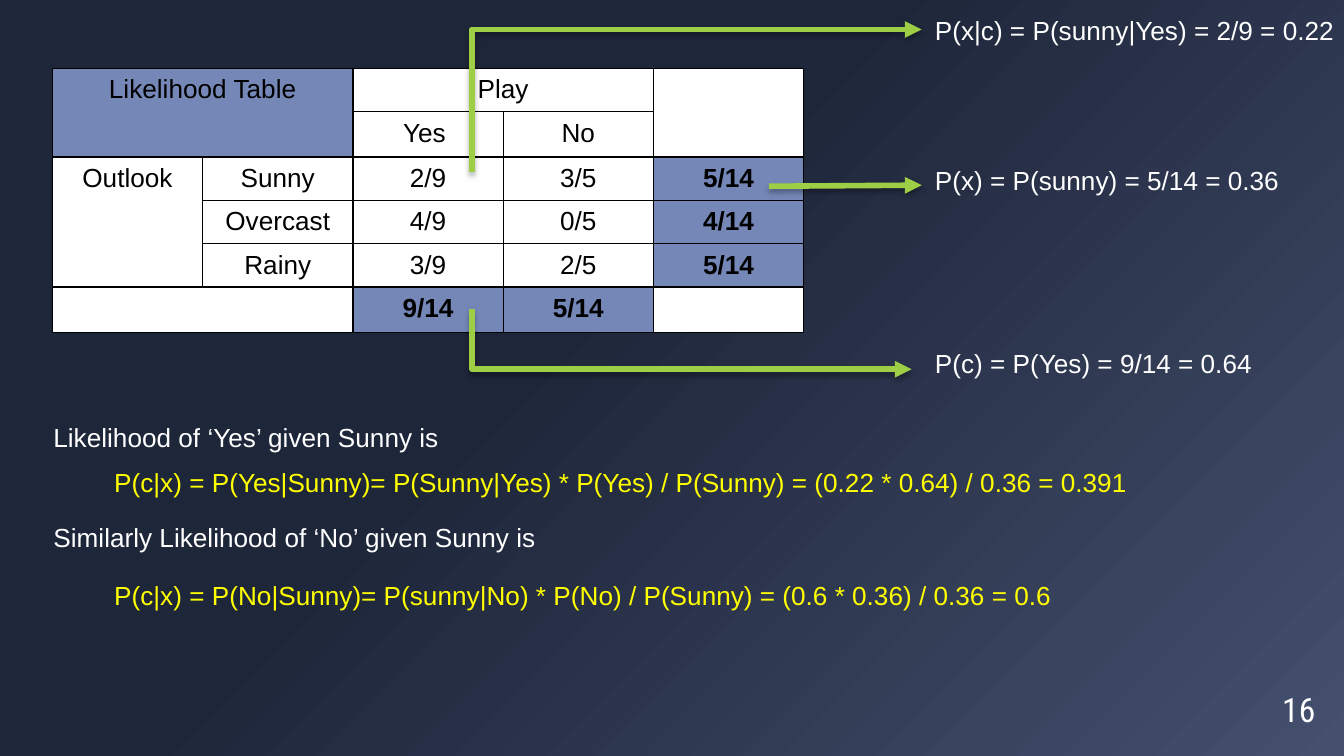
from pptx import Presentation
from pptx.dml.color import RGBColor
from pptx.enum.shapes import MSO_CONNECTOR
from pptx.enum.text import MSO_ANCHOR, MSO_AUTO_SIZE, PP_ALIGN
from pptx.oxml import parse_xml
from pptx.oxml.ns import nsdecls, qn
from pptx.util import Cm, Pt
from lxml import etree

STRAIGHT, ELBOW = MSO_CONNECTOR.STRAIGHT, MSO_CONNECTOR.ELBOW
LEFT, CENTER, RIGHT = PP_ALIGN.LEFT, PP_ALIGN.CENTER, PP_ALIGN.RIGHT
TOP, BOTTOM = MSO_ANCHOR.TOP, MSO_ANCHOR.BOTTOM
GROW, FIXED = MSO_AUTO_SIZE.SHAPE_TO_FIT_TEXT, MSO_AUTO_SIZE.NONE
WHITE, BLACK, YELLOW, GREEN, BLUE = "FFFFFF", "000000", "FFFF00", "9ECE46", "7487B7"


def rgb(value):
    return RGBColor.from_string(value)


def set_format(target, values):
    for name, value in values.items():
        setattr(target, name, value)


class SlideBuilder:
    body = {"name": "Arial", "size": Pt(14), "bold": False}
    number = {"name": "Roboto Condensed", "size": Pt(18)}

    def __init__(self, prs):
        self.s = prs.slides.add_slide(prs.slide_layouts[6])

    def background(self, stops):
        self.s.background.fill.solid()
        bg = self.s._element.find(".//" + qn("p:bgPr"))
        gs = "".join(f'<a:gs pos="{pos * 1000}"><a:srgbClr val="{color}"/></a:gs>'
                     for pos, color in stops)
        bg.replace(bg[0], parse_xml(
            f'<a:gradFill {nsdecls("a")} rotWithShape="1"><a:gsLst>{gs}</a:gsLst>'
            '<a:path path="circle"><a:fillToRect l="100000" t="100000"/></a:path>'
            '</a:gradFill>'))

    def run(self, p, text, font, color, align):
        p.alignment = align
        r = p.add_run()
        r.text = text
        set_format(r.font, font)
        r.font.color.rgb = rgb(color)

    def text(self, text, box, color=WHITE, wrap=False):
        sp = self.s.shapes.add_textbox(*map(Cm, box))
        tf = sp.text_frame
        set_format(tf, {"word_wrap": wrap, "auto_size": GROW, "vertical_anchor": TOP})
        self.run(tf.paragraphs[0], text, self.body, color, LEFT)

    def page_number(self, text, box):
        tf = self.s.shapes.add_textbox(*map(Cm, box)).text_frame
        set_format(tf, {"word_wrap": True, "auto_size": FIXED,
                        "vertical_anchor": BOTTOM,
                        "margin_left": 0, "margin_right": 0,
                        "margin_top": 0, "margin_bottom": 0})
        p = tf.paragraphs[0]
        p.line_spacing = 0.9
        self.run(p, text, self.number, WHITE, RIGHT)

    def borders(self, cell):
        tc_pr = cell._tc.get_or_add_tcPr()
        for side in ("lnL", "lnR", "lnT", "lnB"):
            tc_pr.append(parse_xml(
                f'<a:{side} {nsdecls("a")} w="9525"><a:solidFill>'
                f'<a:srgbClr val="{BLACK}"/></a:solidFill></a:{side}>'))

    def table(self, rows, merges, shaded, bold, left, top, col_width, row_height):
        n_rows, n_cols = len(rows), len(rows[0])
        table = self.s.shapes.add_table(
            n_rows, n_cols, Cm(left), Cm(top),
            Cm(col_width * n_cols), Cm(row_height * n_rows)).table
        set_format(table, {"first_row": False, "horz_banding": False})
        for col in table.columns:
            col.width = Cm(col_width)
        for row in table.rows:
            row.height = Cm(row_height)
        for i, row in enumerate(rows):
            for j, text in enumerate(row):
                cell = table.cell(i, j)
                self.borders(cell)
                cell.fill.solid()
                cell.fill.fore_color.rgb = rgb(BLUE if (i, j) in shaded else WHITE)
                p = cell.text_frame.paragraphs[0]
                if text:
                    font = self.body | {"bold": (i, j) in bold}
                    self.run(p, text, font, BLACK, CENTER)
                else:
                    etree.SubElement(p._p, qn("a:endParaRPr"), sz="1400")
        for first, last in merges:
            table.cell(*first).merge(table.cell(*last))

    def arrow(self, kind, start, end):
        sp = self.s.shapes.add_connector(kind, *map(Cm, start + end))
        sp.line.width = Pt(3)
        sp.line.color.rgb = rgb(GREEN)
        sp_pr = sp._element.spPr
        etree.SubElement(sp_pr.find(qn("a:ln")), qn("a:tailEnd"), type="triangle")
        if kind == ELBOW:
            guides = sp_pr.find(".//" + qn("a:avLst"))
            etree.SubElement(guides, qn("a:gd"), name="adj1", fmla="val 0")
        sp_pr.append(parse_xml(
            f'<a:effectLst {nsdecls("a")}><a:outerShdw blurRad="39370" dist="22860" '
            f'dir="5400000" rotWithShape="0"><a:srgbClr val="{BLACK}">'
            '<a:alpha val="35000"/></a:srgbClr></a:outerShdw></a:effectLst>'))


def main():
    prs = Presentation()
    prs.slide_width, prs.slide_height = Cm(25.4), Cm(14.29)
    b = SlideBuilder(prs)
    b.background([(0, "44506E"), (58, "1E263A"), (100, "1E263A")])
    b.page_number("16", (23.34, 12.9, 1.52, 0.89))

    totals = {(2, 4), (3, 4), (4, 4), (5, 2), (5, 3)}
    b.table(
        [["Likelihood Table", "", "Play", "", ""],
         ["", "", "Yes ", "No", ""],
         ["Outlook", "Sunny", "2/9", "3/5", "5/14"],
         ["", "Overcast", "4/9", "0/5", "4/14"],
         ["", "Rainy", "3/9", "2/5", "5/14"],
         ["", "", "9/14", "5/14", ""]],
        merges=[((0, 0), (1, 1)), ((0, 2), (0, 3)), ((0, 4), (1, 4)),
                ((2, 0), (4, 0)), ((5, 0), (5, 1))],
        shaded=totals | {(0, 0), (0, 1), (1, 0), (1, 1)}, bold=totals,
        left=0.99, top=1.29, col_width=2.84, row_height=0.82)

    yes_x, label_x, height = 8.92, 17.42, 0.86
    b.arrow(ELBOW, (yes_x, 3.25), (label_x, 0.56))
    b.arrow(STRAIGHT, (14.53, 3.52), (label_x, 3.5))
    b.arrow(ELBOW, (yes_x, 5.84), (17.23, 6.98))

    for text, top, width in [
            ("P(x|c) = P(sunny|Yes) = 2/9 = 0.22", 0.15, 8.13),
            ("P(x) = P(sunny) = 5/14 = 0.36", 2.98, 7.04),
            ("P(c) = P(Yes) = 9/14 = 0.64", 6.45, 6.58)]:
        b.text(text, (label_x, top, width, height))

    for text, top, width in [
            ("Likelihood of ‘Yes’ given Sunny is", 7.85, 8.03),
            ("Similarly Likelihood of ‘No’ given Sunny is", 9.73, 9.7)]:
        b.text(text, (0.76, top, width, height))

    for text, top in [
            ("P(c|x) = P(Yes|Sunny)= P(Sunny|Yes) * P(Yes) / P(Sunny)"
             " = (0.22 * 0.64) / 0.36 = 0.391", 8.69),
            ("P(c|x) = P(No|Sunny)= P(sunny|No) * P(No) / P(Sunny)"
             " = (0.6 * 0.36) / 0.36 = 0.6", 10.82)]:
        b.text(text, (1.91, top, 23.16, height), YELLOW, wrap=True)

    prs.save("out.pptx")


if __name__ == "__main__":
    main()
